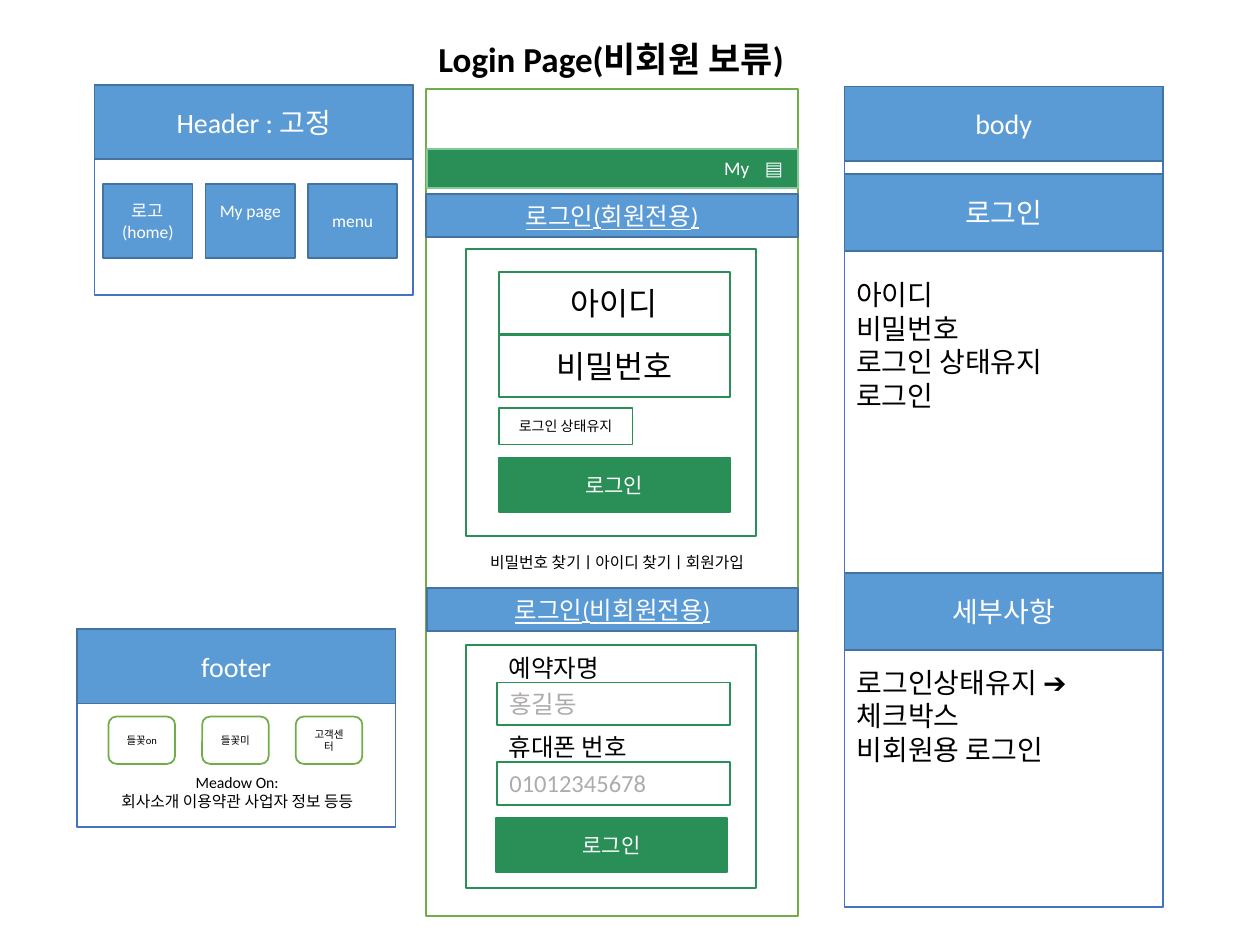
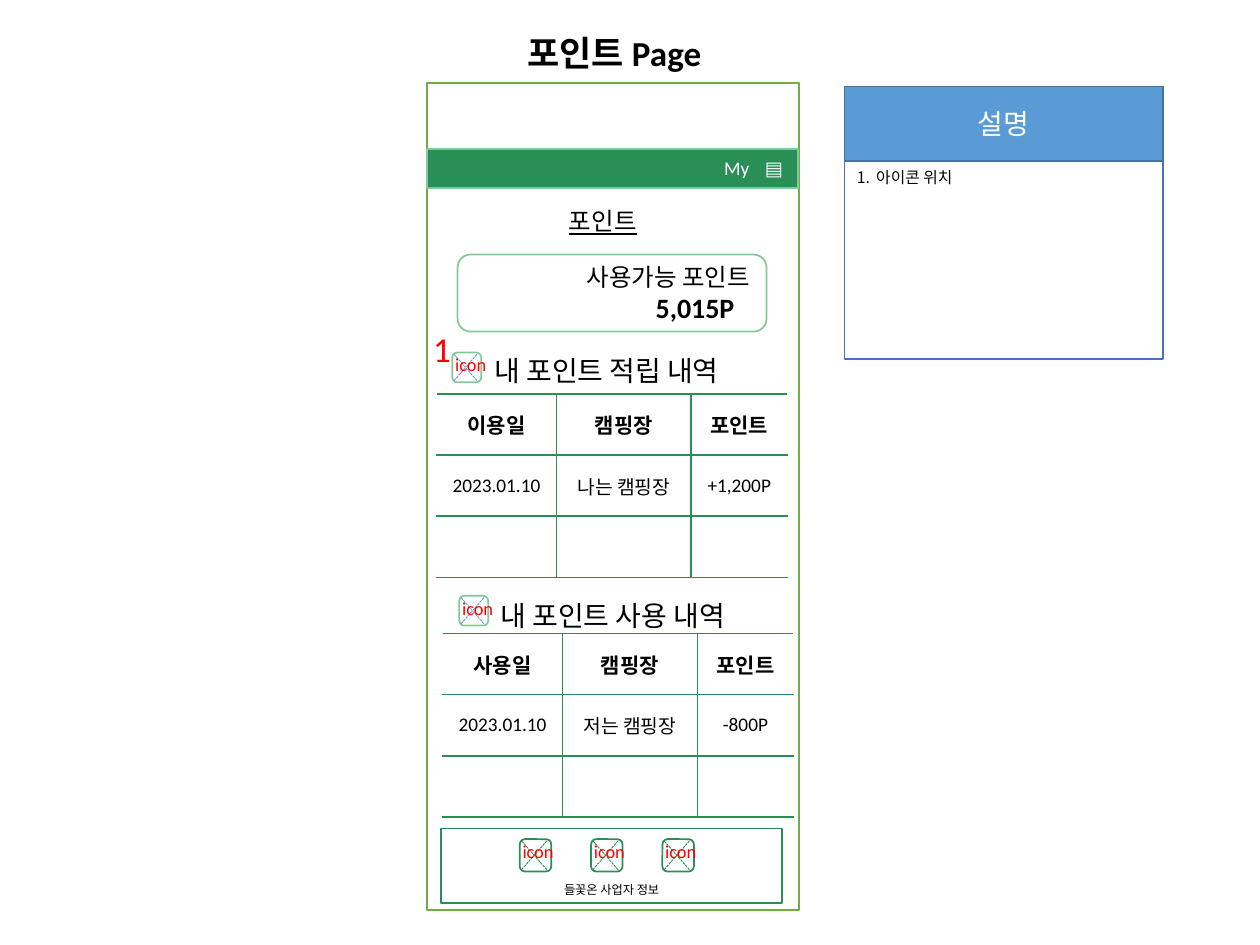
from dataclasses import dataclass

from lxml.etree import SubElement
from pptx import Presentation
from pptx.dml.color import RGBColor
from pptx.enum.dml import MSO_LINE
from pptx.enum.shapes import MSO_CONNECTOR, MSO_SHAPE
from pptx.enum.text import MSO_ANCHOR, MSO_AUTO_SIZE, PP_ALIGN
from pptx.oxml.ns import qn
from pptx.util import Pt


@dataclass(frozen=True)
class Theme:
    font: str = "Calibri"
    white: str = "FFFFFF"
    black: str = "000000"
    red: str = "FF0000"
    hint: str = "AFABAB"
    blue: str = "5B9BD5"
    navy: str = "43739E"
    frame: str = "4472C4"
    green: str = "2A8E57"
    mint: str = "85C89A"
    leaf: str = "70AD47"
    title: float = 20
    field: float = 18
    head: float = 16
    band: float = 14
    button: float = 12
    cell: float = 11
    icon: float = 10.5
    tile: float = 10
    note: float = 9
    check: float = 8
    legal: float = 7
    tag: float = 6


T = Theme()
LEFT, CENTER, RIGHT = PP_ALIGN.LEFT, PP_ALIGN.CENTER, PP_ALIGN.RIGHT
TOP, MIDDLE, BOTTOM = MSO_ANCHOR.TOP, MSO_ANCHOR.MIDDLE, MSO_ANCHOR.BOTTOM
SIDE, WIDE = 482.5, 182   # left edge and width of the notes column
BAR = 42.5                # height of a panel heading


def rgb(code):
    return RGBColor.from_string(code)


def style(para, size, ink=T.black, align=LEFT, bold=False, under=False):
    para.alignment = align
    font = para.font
    font.name, font.size, font.bold, font.underline = T.font, Pt(size), bold, under
    font.color.rgb = rgb(ink)


def write(frame, text, size, ink=T.black, align=LEFT, anchor=TOP, **kind):
    frame.word_wrap = True
    frame.vertical_anchor = anchor
    frame.text = text
    for para in frame.paragraphs:
        style(para, size, ink, align, **kind)


def box(slide, at, text="", size=T.head, ink=T.black, fill=T.white, line=T.green,
        align=CENTER, anchor=MIDDLE, preset=MSO_SHAPE.RECTANGLE, **kind):
    shape = slide.shapes.add_shape(preset, *map(Pt, at))
    shape.shadow.inherit = False
    if fill:
        shape.fill.solid()
        shape.fill.fore_color.rgb = rgb(fill)
    else:
        shape.fill.background()
    if line:
        shape.line.color.rgb = rgb(line)
        shape.line.width = Pt(1)
    else:
        shape.line.fill.background()
    if text:
        write(shape.text_frame, text, size, ink, align, anchor, **kind)
    return shape


def pill(slide, at, text="", **kind):
    return box(slide, at, text, preset=MSO_SHAPE.ROUNDED_RECTANGLE, **kind)


def bar(slide, at, text, size=T.head, **kind):
    return box(slide, at, text, size, T.white, T.blue, T.navy, **kind)


def button(slide, at, text):
    box(slide, at, text, T.button, T.white, T.green)


def label(slide, at, text, size, ink=T.black, **kind):
    frame = slide.shapes.add_textbox(*map(Pt, at)).text_frame
    write(frame, text, size, ink, **kind)
    return frame


def place(holder, at):
    """Move a placeholder to the front and to its place."""
    holder.element.getparent().append(holder.element)
    holder.left, holder.top, holder.width, holder.height = map(Pt, at)
    holder.text_frame.auto_size = MSO_AUTO_SIZE.NONE


def title(slide, at, text):
    place(slide.shapes.title, at)
    write(slide.shapes.title.text_frame, text, T.title, align=CENTER, bold=True)


def listing(holder, at, text, size, number=False):
    place(holder, at)
    write(holder.text_frame, text, size)
    for para in holder.text_frame.paragraphs:
        para.space_before = Pt(0)
        props = para._p.get_or_add_pPr()
        hang = Pt(11) if number else 0
        props.set("marL", str(hang))
        props.set("indent", str(-hang))
        if number:
            SubElement(props, qn("a:buFont"), typeface="+mj-lt")
            SubElement(props, qn("a:buAutoNum"), type="arabicPeriod")
        else:
            SubElement(props, qn("a:buNone"))


def phone(slide, left, top):
    box(slide, (left, top, 212.5, 472.5), line=T.leaf)
    box(slide, (244, 85, 212, 22.5), fill=T.green, line=T.mint)
    for x, width, text in ((404, 34, "My"), (430, 23, "▤")):
        box(slide, (x, 86.5, width, 18.5), text, T.cell, T.white, None)


def panel(slide, left, top, height, text):
    box(slide, (left, top, WIDE, height), line=T.frame)
    bar(slide, (left, top, WIDE, BAR), text)


def icon(slide, left, top, side, line, cross):
    """Rounded square with a dashed cross and a red caption."""
    pill(slide, (left, top, side, side + 0.5), line=line)
    near, far, low = left + 1, left + side - 2.5, top + side - 0.5
    for start, end in ((low, top + 1), (top + 1, low)):
        rule = slide.shapes.add_connector(
            MSO_CONNECTOR.STRAIGHT, Pt(far), Pt(start), Pt(near), Pt(end))
        rule.line.color.rgb = rgb(cross)
        rule.line.width = Pt(0.5)
        rule.line.dash_style = MSO_LINE.SQUARE_DOT
        SubElement(rule._element.spPr, qn("a:effectLst"))
    label(slide, (left - 5.5, top - 3, 35, 21), "icon", T.icon, T.red)


def edge(cell, first, last):
    """Draw the cell's borders, white on the outer sides of the table."""
    props = cell._tc.get_or_add_tcPr()
    sides = {"lnL": T.white if first else T.green,
             "lnR": T.white if last else T.green,
             "lnT": T.green, "lnB": T.green}
    for index, (name, ink) in enumerate(sides.items()):
        line = props.makeelement(qn("a:" + name), {"w": str(Pt(1))})
        solid = SubElement(line, qn("a:solidFill"))
        SubElement(solid, qn("a:srgbClr"), val=ink)
        props.insert(index, line)


def table(slide, left, top, rows):
    widths, high = (68.5, 77, 55), 35
    grid = slide.shapes.add_table(len(rows), 3, Pt(left), Pt(top),
                                  Pt(sum(widths)), Pt(high * len(rows))).table
    grid.first_row = grid.horz_banding = False
    for col, width in zip(grid.columns, widths):
        col.width = Pt(width)
    for r, row in enumerate(rows):
        grid.rows[r].height = Pt(high)
        for c, text in enumerate(row):
            cell = grid.cell(r, c)
            cell.fill.background()
            cell.vertical_anchor = MIDDLE
            cell.text = text
            style(cell.text_frame.paragraphs[0], T.cell if r else T.button,
                  align=CENTER, bold=r == 0)
            edge(cell, c == 0, c == len(row) - 1)


def header(slide):
    panel(slide, 54, 48.5, 120, "Header : 고정")
    for i, text in enumerate(("로고(home)", "My page", "menu")):
        tile = bar(slide, (59 + 58.5 * i, 105, 51, 42.5), text, T.tile)
        if text == "My page":
            tile.text_frame.margin_bottom = Pt(15)


def footer(slide):
    panel(slide, 44, 359.5, 113, "footer")
    for i, text in enumerate(("들꽃on", "들꽃미", "고객센터")):
        pill(slide, (62 + 53.5 * i, 409.5, 38, 27), text, size=T.tag, line=T.leaf)
    label(slide, (54, 438, 163, 30),
          "Meadow On:\n회사소개 이용약관 사업자 정보 등등", T.note, align=CENTER)


def member(slide):
    bar(slide, (243.5, 111, 212.5, 24.5), "로그인(회원전용)", T.band, under=True)
    box(slide, (266.5, 142.5, 165.5, 164))
    for i, text in enumerate(("아이디", "비밀번호")):
        box(slide, (285, 155.5 + 36 * i, 132, 35.5), text, T.field)
    box(slide, (285, 233, 76.5, 21), "로그인 상태유지", T.check)
    button(slide, (285, 261.5, 132, 31), "로그인")
    box(slide, (252.5, 307.5, 200, 27), "비밀번호 찾기ㅣ아이디 찾기ㅣ회원가입",
        T.note, line=None)


def guest(slide):
    bar(slide, (244, 336, 212, 24.5), "로그인(비회원전용)", T.band, under=True)
    box(slide, (266.5, 368.5, 165.5, 139))
    fields = (("예약자명", "홍길동"), ("휴대폰 번호", "01012345678"))
    for i, (name, hint) in enumerate(fields):
        top = 369.5 + 45.5 * i
        label(slide, (283.5, top, 96.5, 24.5), name, T.band)
        box(slide, (284, top + 20.5, 133, 24.5), hint, T.band, T.hint, None,
            align=LEFT, anchor=TOP)
    button(slide, (283.5, 467.5, 132, 31), "로그인")


def login(slide):
    phone(slide, 243.5, 51)
    title(slide, (232.5, 18, 233.5, 31.5), "Login Page(비회원 보류)")
    header(slide)
    footer(slide)
    member(slide)
    guest(slide)
    panel(slide, SIDE, 49.5, 469, "body")
    for top, text in ((99.5, "로그인"), (327.5, "세부사항")):
        bar(slide, (SIDE, top, WIDE, 44), text)
    listing(slide.placeholders[1], (SIDE - 0.5, 155, WIDE, 85),
            "아이디\n비밀번호\n로그인 상태유지\n로그인", T.head)
    listing(slide.placeholders[2], (SIDE, 376.5, WIDE, 65.5),
            "로그인상태유지 ➔체크박스\n비회원용 로그인", T.head)


def balance(slide):
    label(slide, (318, 114, 57, 24.5), "포인트", T.band, under=True)
    card = pill(slide, (261.5, 145.5, 176.5, 44), "사용가능 포인트\n5,015P",
                size=T.band, line=T.mint, align=RIGHT)
    total = card.text_frame.paragraphs[1]
    style(total, T.head, bold=True)
    total._p.get_or_add_pPr().set("marL", str(Pt(104)))


def history(slide, left, top, text, rows, mark):
    label(slide, (left, top, 162, 26.5), text, T.head)
    icon(slide, *mark, 16.5, T.mint, T.blue)
    table(slide, left - 26, top + 26.5 if mark[1] < 300 else top + 23.5, rows)


def points(slide):
    phone(slide, 244, 47.5)
    title(slide, (201.5, 14.5, 299, 31.5), "포인트 Page")
    panel(slide, SIDE, 49.5, 155.5, "설명")
    listing(slide.placeholders[1], (SIDE, 92, WIDE, 113), "아이콘 위치", T.note, True)
    balance(slide)
    blank = ("", "", "")
    history(slide, 275.5, 198.5, "내 포인트 적립 내역",
            (("이용일", "캠핑장", "포인트"),
             ("2023.01.10", "나는 캠핑장", "+1,200P"), blank), (258.5, 201.5))
    history(slide, 279, 338.5, "내 포인트 사용 내역",
            (("사용일", "캠핑장", "포인트"),
             ("2023.01.10", "저는 캠핑장", "-800P"), blank), (262.5, 340.5))
    label(slide, (240.5, 183.5, 42, 31.5), "1", T.title, T.red)
    box(slide, (252, 473.5, 195, 42.5), "들꽃온 사업자 정보", T.legal, anchor=BOTTOM)
    for i in range(3):
        icon(slide, 297 + 40.75 * i, 479.5, 18, T.green, T.green)


def main():
    deck = Presentation()
    deck.slide_width, deck.slide_height = Pt(720), Pt(540)
    login(deck.slides.add_slide(deck.slide_layouts[3]))
    points(deck.slides.add_slide(deck.slide_layouts[1]))
    deck.save("out.pptx")


if __name__ == "__main__":
    main()
